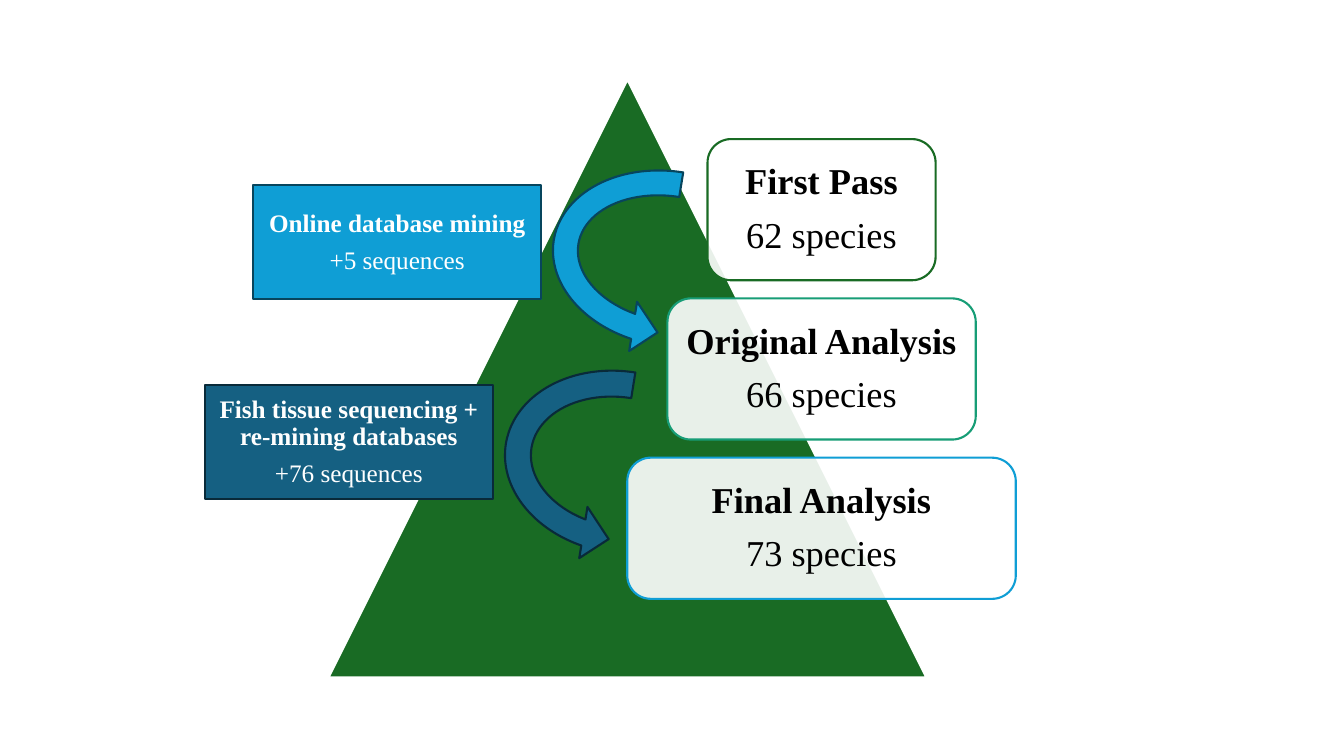
from lxml import etree
from pptx import Presentation, util as u
from pptx.dml.color import RGBColor
from pptx.enum import shapes, text
from pptx.oxml.ns import qn

COLORS = {
    "white": "FFFFFF", "black": "000000", "green": "196B24", "teal": "179D76",
    "sky": "0F9ED5", "sky_edge": "07455D", "navy": "156082", "navy_edge": "092A39",
}
KIND = shapes.MSO_SHAPE


def rgb(name):
    return RGBColor.from_string(COLORS[name])


def add_text(p, words, size=18, color="white", bold=False, font="Times New Roman"):
    p.alignment = text.PP_ALIGN.CENTER
    p.line_spacing = 0.9
    p.space_after = u.Pt(round(size * 0.39, 1))
    r = p.add_run()
    r.text = words
    r.font.name, r.font.size, r.font.bold = font, u.Pt(size), bold
    r.font.color.rgb = rgb(color)


class Diagram:
    line_width = u.Pt(1.5)

    def __init__(self, prs):
        self.prs = prs
        self.s = prs.slides.add_slide(prs.slide_layouts[6])

    def shape(self, kind, left, top, width, height, fill, line):
        across, down = self.prs.slide_width / 100, self.prs.slide_height / 100
        sp = self.s.shapes.add_shape(
            kind, int(left * across), int(top * down), int(width * across), int(height * down))
        sp.shadow.inherit = False
        sp.fill.solid()
        sp.fill.fore_color.rgb = rgb(fill)
        sp.line.color.rgb = rgb(line)
        sp.line.width = self.line_width
        return sp

    def label(self, sp, heading, detail, inset, **fmt):
        tf = sp.text_frame
        tf.word_wrap = True
        tf.vertical_anchor = text.MSO_ANCHOR.MIDDLE
        tf.margin_left = tf.margin_right = tf.margin_top = tf.margin_bottom = u.Inches(inset)
        add_text(tf.paragraphs[0], heading, bold=True, **fmt)
        add_text(tf.add_paragraph(), detail, **fmt)

    def card(self, center, top, width, line, heading, detail):
        sp = self.shape(KIND.ROUNDED_RECTANGLE, center - width / 2, top, width, 18.67,
                        "white", line)
        color = sp.fill._xPr.find(qn("a:solidFill"))[0]
        etree.SubElement(color, qn("a:alpha")).set("val", "90000")
        self.label(sp, heading, detail, 0.1, size=26, color="black")

    def arrow(self, left, top, width, fill, line):
        sp = self.shape(KIND.CIRCULAR_ARROW, left, top, width, 34.27, fill, line)
        sp.rotation = 99.1
        sp._element.spPr.find(qn("a:xfrm")).set("flipV", "1")

    def source(self, left, top, fill, line, heading, detail):
        sp = self.shape(KIND.RECTANGLE, left, top, 21.45, 15.07, fill, line)
        self.label(sp, heading, detail, 0.09)


def main():
    prs = Presentation()
    prs.slide_width, prs.slide_height = u.Inches(13.33), u.Inches(7.5)
    d = Diagram(prs)
    d.shape(KIND.ISOSCELES_TRIANGLE, 24.45, 10.53, 44.48, 79.07, "green", "white")

    stages = [
        ("green", "First Pass", "62 species"),
        ("teal", "Original Analysis", "66 species"),
        ("sky", "Final Analysis", "73 species"),
    ]
    for i, stage in enumerate(stages):
        d.card(61.13, 18.4 + 21.07 * i, 16.97 + 5.97 * i, *stage)

    d.arrow(42.38, 17.07, 14.85, "sky", "sky_edge")
    d.arrow(38.48, 44, 15.45, "navy", "navy_edge")
    d.source(18.83, 24.53, "sky", "sky_edge", "Online database mining", "+5 sequences")
    d.source(15.23, 50.93, "navy", "navy_edge",
             "Fish tissue sequencing + re-mining databases", "+76 sequences")
    prs.save("out.pptx")


if __name__ == "__main__":
    main()
